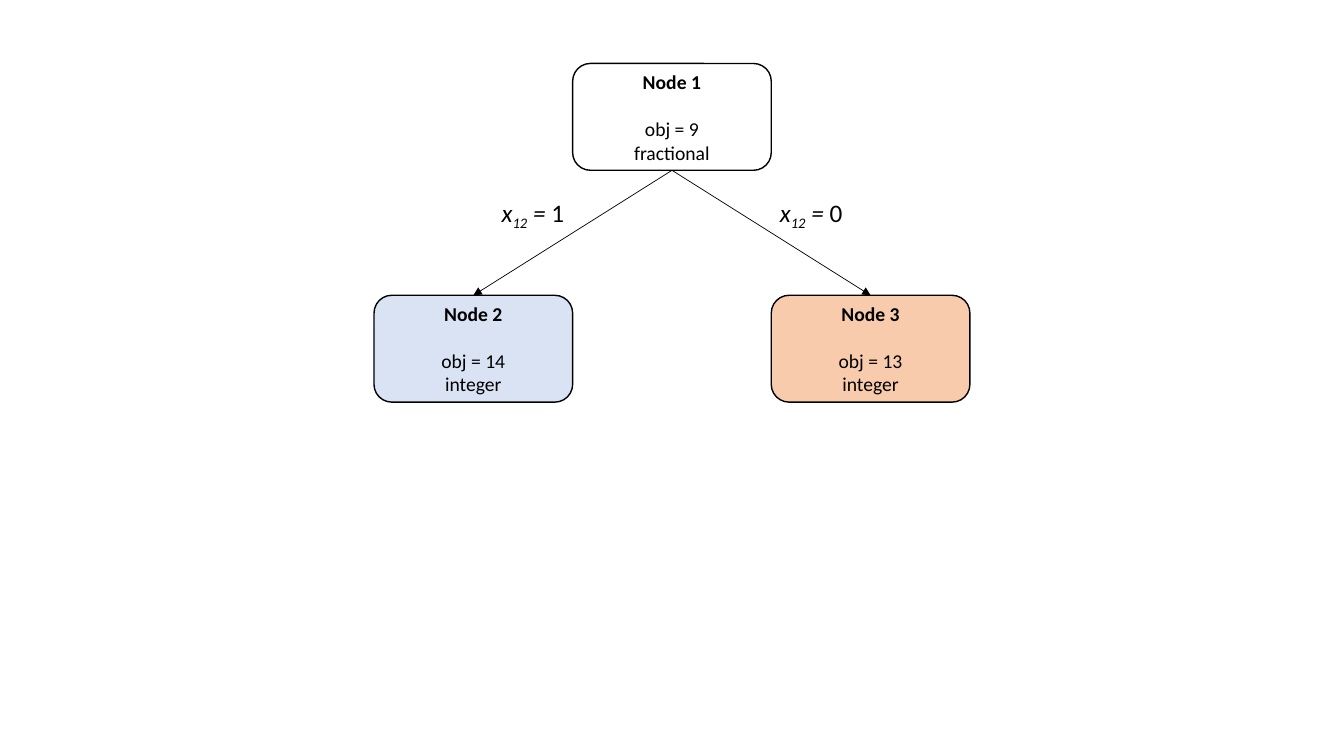
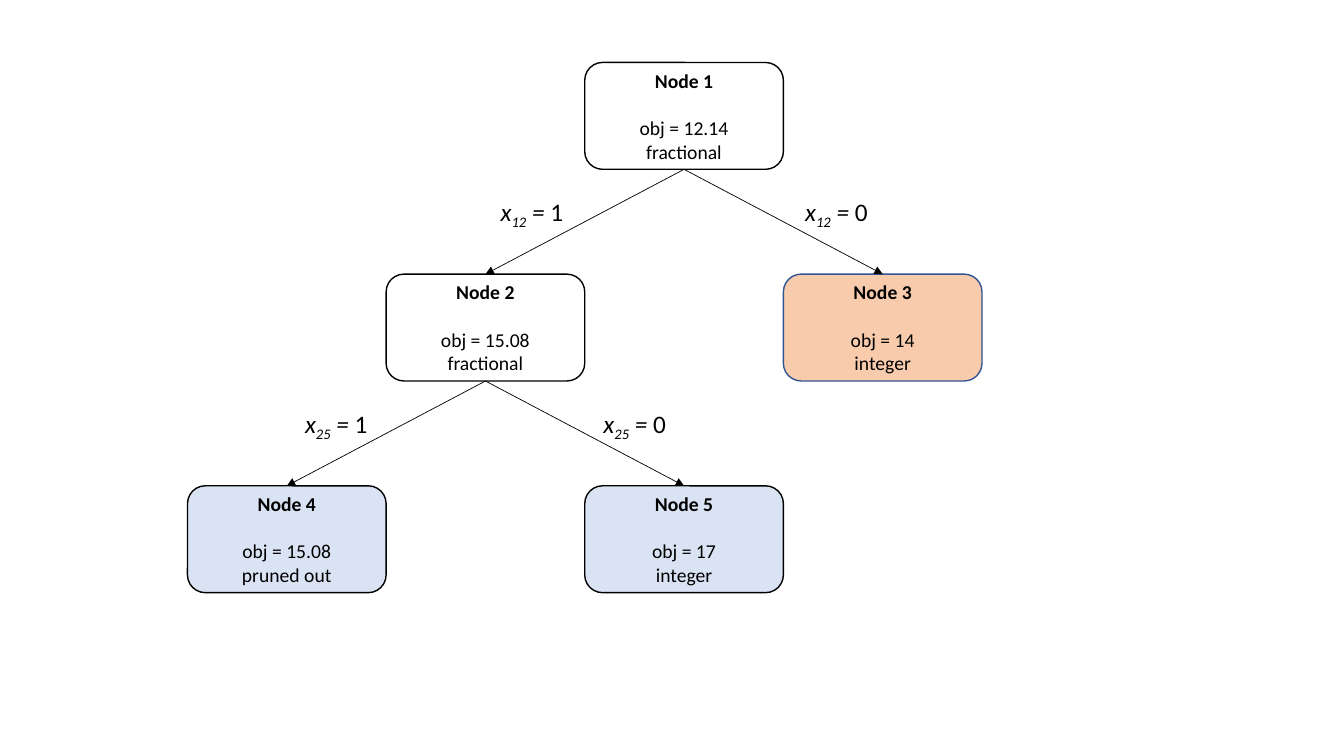
"""Draw two branch-and-bound trees, one per slide."""
from dataclasses import dataclass

from lxml.etree import SubElement
from pptx import Presentation
from pptx.dml.color import RGBColor
from pptx.enum.shapes import MSO_CONNECTOR, MSO_SHAPE
from pptx.enum.text import MSO_ANCHOR, MSO_AUTO_SIZE, PP_ALIGN
from pptx.oxml.ns import qn
from pptx.util import Inches, Pt


@dataclass(frozen=True)
class Theme:
    """Hold the colours, type and line sizes."""
    font: str = "Calibri"
    ink: str = "000000"
    blue: str = "DAE3F3"
    peach: str = "F8CBAD"
    navy: str = "325491"
    body: int = 14
    gap: int = 17
    label: int = 18
    edge: float = 1
    arrow: float = 0.5


@dataclass(frozen=True)
class Grid:
    """Map columns and rows to inches."""
    left: float
    top: float
    pitch: float
    width: float = 1.97
    height: float = 1.06

    def cell(self, col, row):
        """Return the box of a cell."""
        box = (self.left + col * self.width, self.top + row * self.pitch,
               self.width, self.height)
        return [Inches(size) for size in box]


@dataclass(frozen=True)
class Node:
    """Describe one node and its place in the grid."""
    col: int
    row: int
    value: str
    state: str
    fill: str = ""
    line: str = "000000"


@dataclass(frozen=True)
class Split:
    """Describe a branching and how far its labels sit from the centre."""
    head: int
    kids: tuple
    index: str
    reach: float


THEME = Theme()
LABEL_W, LABEL_H, LABEL_DROP = 0.99, 0.4, 0.22

TREES = (
    (Grid(3.71, 0.63, 2.3),
     (Node(1, 0, "9", "fractional"),
      Node(0, 1, "14", "integer", THEME.blue),
      Node(2, 1, "13", "integer", THEME.peach)),
     (Split(1, (2, 3), "12", 1.38),)),
    (Grid(1.86, 0.62, 2.1),
     (Node(2, 0, "12.14", "fractional"),
      Node(1, 1, "15.08", "fractional"),
      Node(3, 1, "14", "integer", THEME.peach, THEME.navy),
      Node(0, 2, "15.08", "pruned out", THEME.blue),
      Node(2, 2, "17", "integer", THEME.blue)),
     (Split(1, (2, 3), "12", 1.51),
      Split(2, (4, 5), "25", 1.48))),
)


def style(para, size, bold=False):
    """Centre a paragraph and set its font."""
    para.alignment = PP_ALIGN.CENTER
    font = para.font
    font.name, font.size, font.bold = THEME.font, Pt(size), bold
    font.color.rgb = RGBColor.from_string(THEME.ink)


def add_node(slide, grid, node, number):
    """Add a rounded box with a title and two lines."""
    box = slide.shapes.add_shape(MSO_SHAPE.ROUNDED_RECTANGLE,
                                 *grid.cell(node.col, node.row))
    box.shadow.inherit = False
    if node.fill:
        box.fill.solid()
        box.fill.fore_color.rgb = RGBColor.from_string(node.fill)
    else:
        box.fill.background()
    box.line.color.rgb = RGBColor.from_string(node.line)
    box.line.width = Pt(THEME.edge)
    frame = box.text_frame
    frame.word_wrap = True
    frame.vertical_anchor = MSO_ANCHOR.MIDDLE
    frame.text = f"Node {number}\nobj = {node.value}\n{node.state}"
    for para in frame.paragraphs:
        style(para, THEME.body)
    title = frame.paragraphs[0]
    title.font.bold = True
    title.space_after = Pt(THEME.gap)
    return box


def add_arrow(slide, head, kid):
    """Join the bottom of one box to the top of another."""
    arrow = slide.shapes.add_connector(MSO_CONNECTOR.STRAIGHT, 0, 0, 0, 0)
    arrow.begin_connect(head, 2)
    arrow.end_connect(kid, 0)
    arrow.line.color.rgb = RGBColor.from_string(THEME.ink)
    arrow.line.width = Pt(THEME.arrow)
    SubElement(arrow.line._get_or_add_ln(), qn("a:tailEnd"), type="triangle")
    SubElement(arrow._element.spPr, qn("a:effectLst"))


def add_label(slide, head, shift, index, value):
    """Add a branching condition beside an arrow."""
    left = head.left + head.width // 2 + Inches(shift - LABEL_W / 2)
    top = head.top + head.height + Inches(LABEL_DROP)
    box = slide.shapes.add_textbox(left, top, Inches(LABEL_W), Inches(LABEL_H))
    frame = box.text_frame
    frame.word_wrap = True
    frame.auto_size = MSO_AUTO_SIZE.SHAPE_TO_FIT_TEXT
    para = frame.paragraphs[0]
    style(para, THEME.label)
    for text in ("x", index, " = ", value):
        run = para.add_run()
        run.text = text
        run.font.italic = text != value
        if text == index:
            run._r.get_or_add_rPr().set("baseline", "-25000")


def add_tree(slide, grid, nodes, splits):
    """Draw the boxes, then the arrows, then the labels."""
    boxes = {number: add_node(slide, grid, node, number)
             for number, node in enumerate(nodes, 1)}
    for split in splits:
        for kid in split.kids:
            add_arrow(slide, boxes[split.head], boxes[kid])
    for split in splits:
        for side, value in ((-1, "1"), (1, "0")):
            add_label(slide, boxes[split.head], side * split.reach,
                      split.index, value)


def main():
    """Build and save the deck."""
    deck = Presentation()
    deck.slide_width, deck.slide_height = Inches(13.33), Inches(7.5)
    for tree in TREES:
        add_tree(deck.slides.add_slide(deck.slide_layouts[6]), *tree)
    deck.save("out.pptx")


if __name__ == "__main__":
    main()
